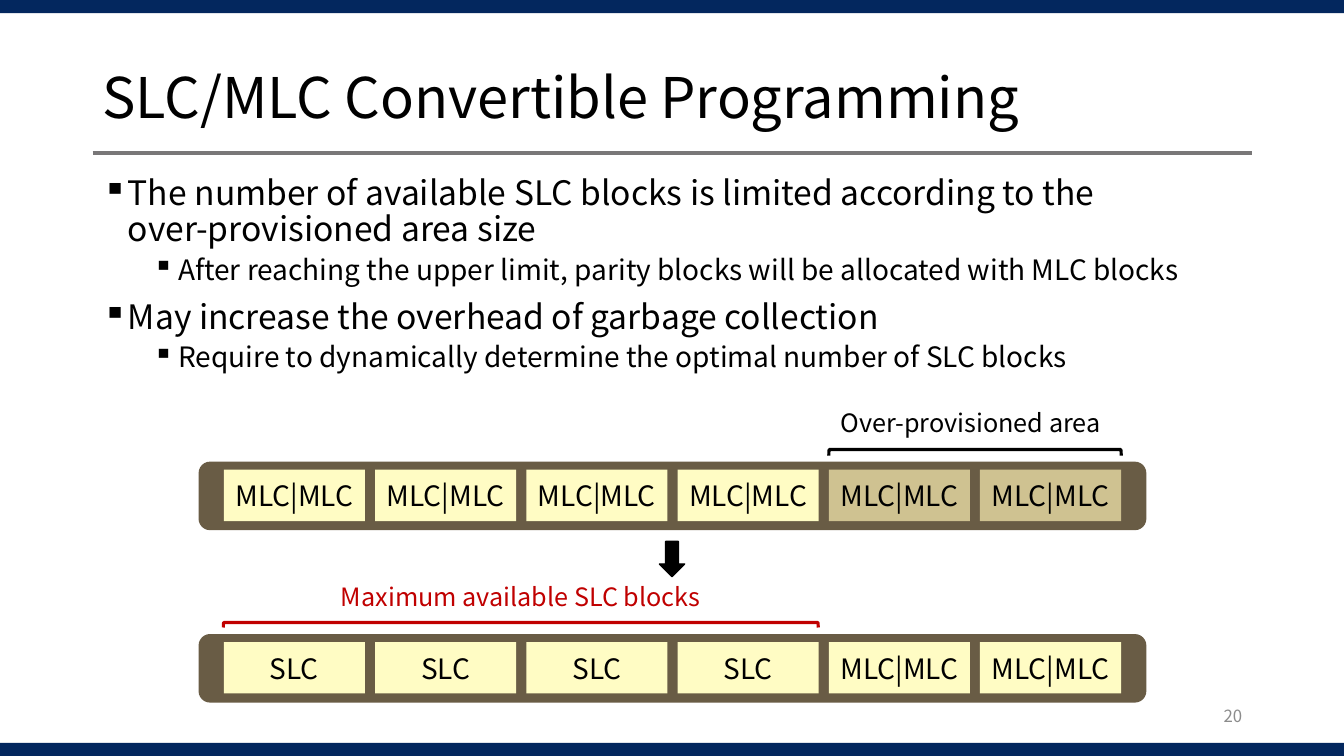
from dataclasses import dataclass, field

from lxml.etree import SubElement
from pptx import Presentation
from pptx.dml.color import RGBColor
from pptx.enum.shapes import MSO_CONNECTOR as Line, MSO_SHAPE as Preset
from pptx.enum.text import MSO_ANCHOR as Anchor, MSO_AUTO_SIZE as AutoSize, PP_ALIGN as Align
from pptx.oxml.ns import qn
from pptx.util import Inches, Pt

FONT = "Noto Sans CJK KR"
COLORS = {
    "navy": "03275E", "rule": "797778", "black": "000000", "red": "C00000",
    "number": "8C8C8C", "chip": "695C45", "block": "FFFCC4", "reserved": "CFC291",
}
WIDTH, HEIGHT, BAND = 13.33, 7.5, 0.13
BLOCK_LEFT, BLOCK_PITCH, BLOCK_WIDTH = 2.22, 1.5, 1.4
BLOCK_FRAME = {
    "margin_left": Inches(0.13), "margin_right": Inches(0.13),
    "margin_top": Inches(0.06), "margin_bottom": Inches(0.06),
    "vertical_anchor": Anchor.MIDDLE,
}
LABEL_FRAME = {"word_wrap": False, "auto_size": AutoSize.SHAPE_TO_FIT_TEXT}


@dataclass
class Area:
    left: float
    top: float
    width: float
    height: float

    def lengths(self) -> list:
        return [Inches(v) for v in (self.left, self.top, self.width, self.height)]


@dataclass
class Text:
    words: str
    size: float
    color: str = "black"
    align: Align = Align.LEFT
    format: dict = field(default_factory=dict)


@dataclass
class Label:
    area: Area
    text: Text
    frame: dict


@dataclass
class Bullet:
    words: str
    level: int = 0


@dataclass
class BlockRow:
    top: float
    names: list
    fills: list


@dataclass
class Bracket:
    area: Area
    color: str


LABELS = [
    Label(Area(0.92, 0.51, 11.5, 0.98),
          Text("SLC/MLC Convertible Programming", 40, format={"line_spacing": 0.9}),
          {"word_wrap": True, "vertical_anchor": Anchor.MIDDLE}),
    Label(Area(9.42, 6.9, 3, 0.4), Text("20", 12, "number", Align.RIGHT),
          {"word_wrap": True, "vertical_anchor": Anchor.MIDDLE}),
    Label(Area(8.24, 3.99, 2.83, 0.4), Text("Over-provisioned area", 18), LABEL_FRAME),
    Label(Area(3.27, 5.72, 3.79, 0.4),
          Text("Maximum available SLC blocks", 18, "red", Align.CENTER), LABEL_FRAME),
]
BULLETS = [
    Bullet("The number of available SLC blocks is limited according to the\n"
           "over-provisioned area size"),
    Bullet("After reaching the upper limit, parity blocks will be allocated with MLC blocks", 1),
    Bullet("May increase the overhead of garbage collection"),
    Bullet("Require to dynamically determine the optimal number of SLC blocks", 1),
]
ROWS = [
    BlockRow(4.58, ["MLC|MLC"] * 6, ["block"] * 4 + ["reserved"] * 2),
    BlockRow(6.29, ["SLC"] * 4 + ["MLC|MLC"] * 2, ["block"] * 6),
]
BRACKETS = [
    Bracket(Area(9.64, 3.04, 0.06, 2.9), "black"),
    Bracket(Area(5.14, 3.25, 0.05, 5.9), "red"),
]


def apply(target, values: dict) -> None:
    for name, value in values.items():
        setattr(target, name, value)


def rgb(color: str) -> RGBColor:
    return RGBColor.from_string(COLORS[color])


def write(para, text: Text) -> None:
    para.text = text.words
    apply(para, {"alignment": text.align, **text.format})
    for span in para.runs:
        apply(span.font, {"name": FONT, "size": Pt(text.size)})
        span.font.color.rgb = rgb(text.color)


def add_shape(page, preset: Preset, area: Area, fill: str = "", line: str = "", weight: float = 1):
    shape = page.shapes.add_shape(preset, *area.lengths())
    shape.shadow.inherit = False
    if fill:
        shape.fill.solid()
        shape.fill.fore_color.rgb = rgb(fill)
    else:
        shape.fill.background()
    if line:
        shape.line.color.rgb = rgb(line)
        shape.line.width = Pt(weight)
    else:
        shape.line.fill.background()
    return shape


def add_label(page, label: Label) -> None:
    box = page.shapes.add_textbox(*label.area.lengths())
    apply(box.text_frame, label.frame)
    write(box.text_frame.paragraphs[0], label.text)


def add_rule(page) -> None:
    rule = page.shapes.add_connector(
        Line.STRAIGHT, Inches(0.92), Inches(1.52), Inches(12.42), Inches(1.52))
    rule.line.color.rgb = rgb("rule")
    rule.line.width = Pt(3)
    SubElement(rule.element.spPr, qn("a:effectLst"))


def add_bullets(page, bullets: list) -> None:
    frame = page.shapes.add_textbox(*Area(0.92, 1.7, 11.5, 5.06).lengths()).text_frame
    frame.word_wrap = True
    for index, bullet in enumerate(bullets):
        para = frame.add_paragraph() if index else frame.paragraphs[0]
        spacing = {"level": bullet.level, "line_spacing": 0.9,
                   "space_before": Pt(5 if bullet.level else 10)}
        write(para, Text(bullet.words, 20 if bullet.level else 24, format=spacing))
        properties = para._p.get_or_add_pPr()
        properties.set("marL", str(Inches(0.25 + 0.5 * bullet.level)))
        properties.set("indent", str(Inches(-0.25)))
        SubElement(properties, qn("a:buChar"), char="▪")


def add_block_row(page, row: BlockRow) -> None:
    add_shape(page, Preset.ROUNDED_RECTANGLE, Area(1.97, row.top, 9.4, 0.68), "chip")
    for index, (name, fill) in enumerate(zip(row.names, row.fills)):
        left = BLOCK_LEFT + index * BLOCK_PITCH
        block = add_shape(page, Preset.RECTANGLE,
                          Area(left, row.top + 0.08, BLOCK_WIDTH, 0.51), fill)
        apply(block.text_frame, {**BLOCK_FRAME, "word_wrap": name == "SLC"})
        write(block.text_frame.paragraphs[0], Text(name, 20, align=Align.CENTER))


def main() -> None:
    deck = Presentation()
    apply(deck, {"slide_width": Inches(WIDTH), "slide_height": Inches(HEIGHT)})
    page = deck.slides.add_slide(deck.slide_layouts[6])
    for top in (0, HEIGHT - BAND):
        add_shape(page, Preset.RECTANGLE, Area(0, top, WIDTH, BAND), "navy")
    add_rule(page)
    add_bullets(page, BULLETS)
    for row in ROWS:
        add_block_row(page, row)
    add_shape(page, Preset.DOWN_ARROW, Area(6.54, 5.37, 0.25, 0.35), "black", "black")
    for bracket in BRACKETS:
        shape = add_shape(page, Preset.LEFT_BRACKET, bracket.area, line=bracket.color, weight=2.25)
        shape.rotation = 90
    for label in LABELS:
        add_label(page, label)
    deck.save("out.pptx")


if __name__ == "__main__":
    main()
